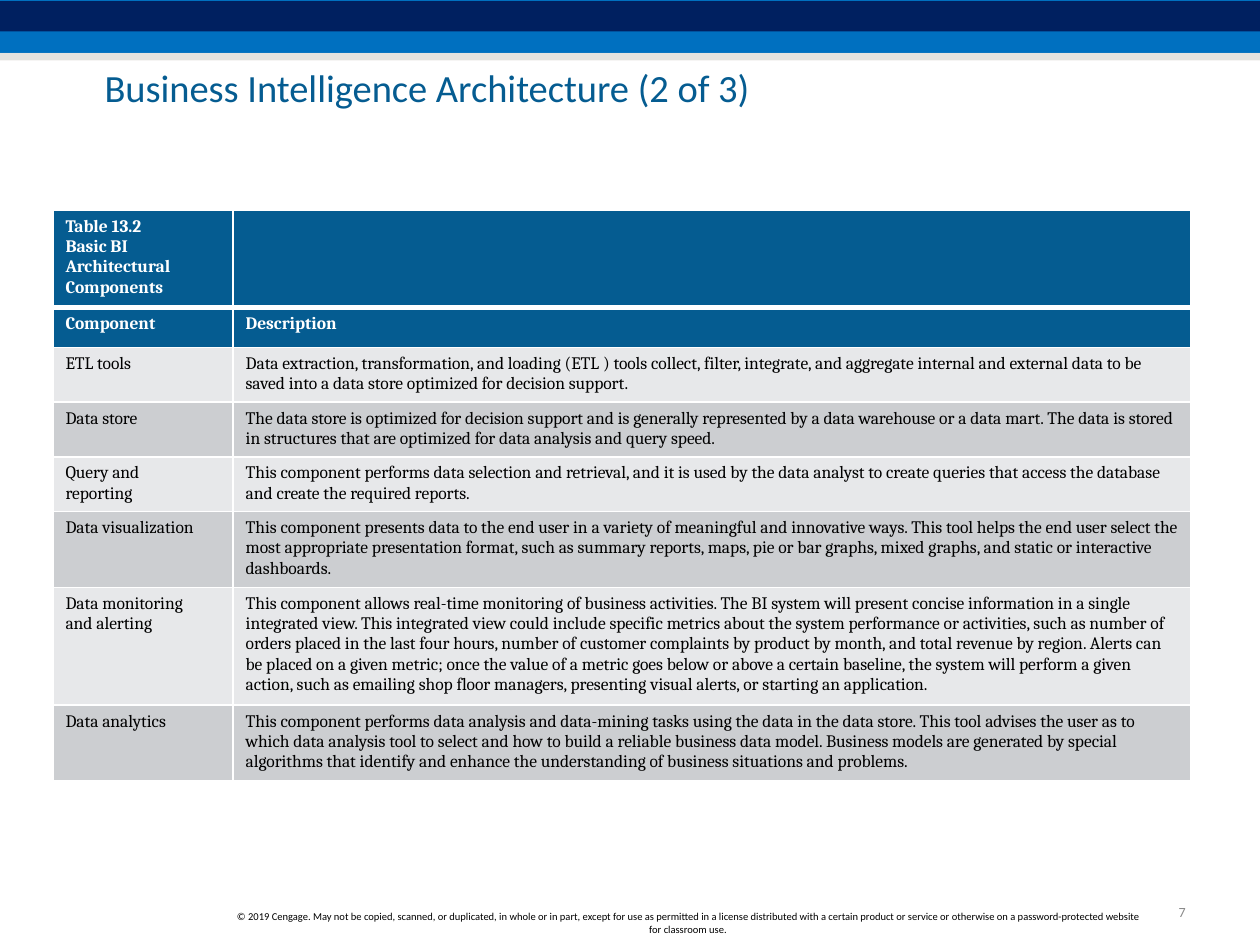
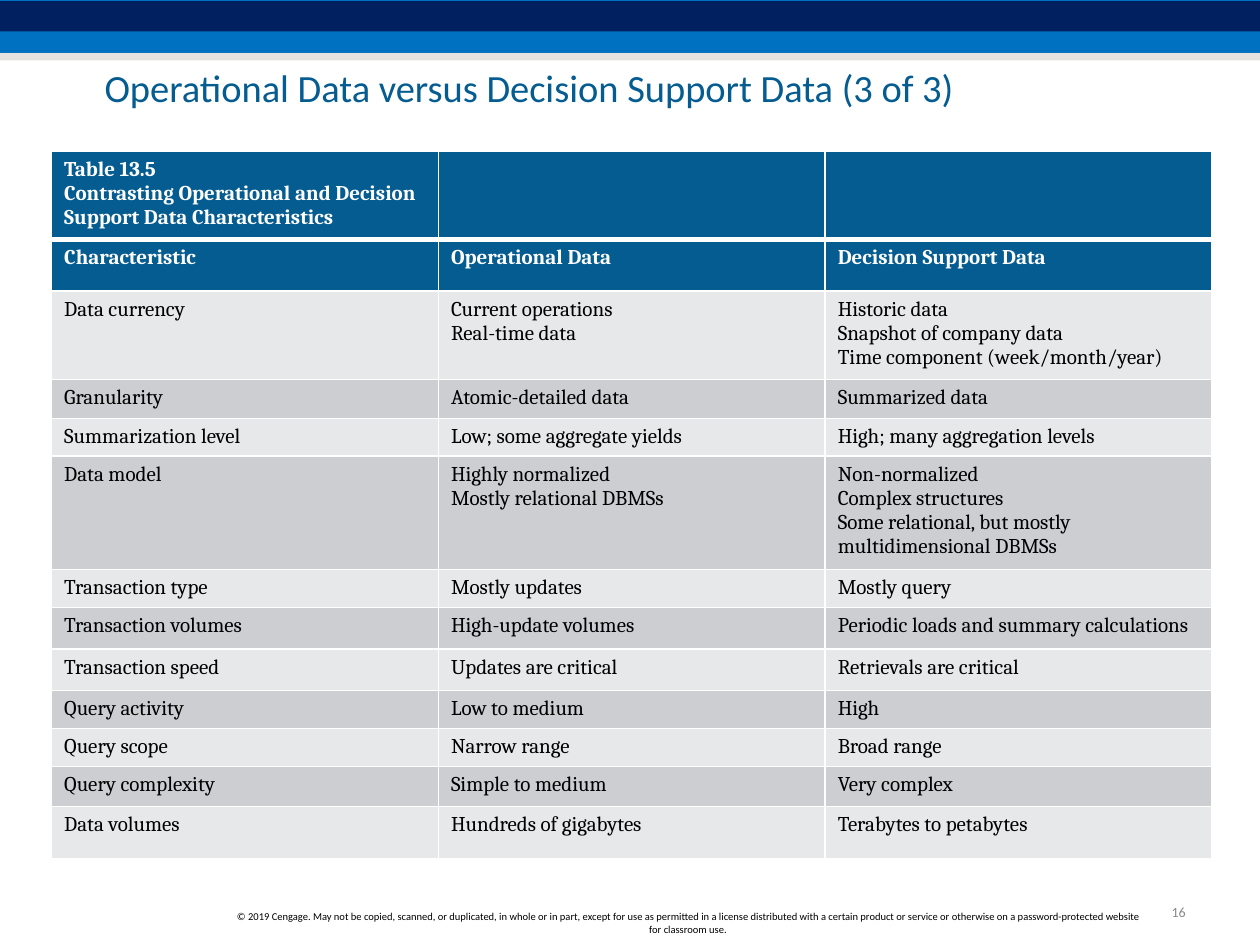
from lxml.etree import SubElement
from pptx import Presentation
from pptx.dml.color import RGBColor
from pptx.enum.shapes import MSO_SHAPE
from pptx.enum.text import MSO_ANCHOR, PP_ALIGN
from pptx.oxml.ns import qn
from pptx.util import Inches, Pt

HUES = {
    "blue": "0070C0", "navy": "002060", "sand": "CCC9C1", "head": "055C91",
    "light": "E7E8EA", "dark": "CCCED1", "white": "FFFFFF",
    "black": "000000", "grey": "898989",
}
FONTS = {
    "title": {"name": "Calibri", "size": Pt(22), "bold": False},
    "page": {"name": "Calibri", "size": Pt(8)},
    "foot": {"name": "Calibri", "size": Pt(6)},
}
RIGHTS = (
    "© 2019 Cengage. May not be copied, scanned, or duplicated, in whole or "
    "in part, except for use as permitted in a license distributed with a "
    "certain product or service or otherwise on a password-protected website "
    "for classroom use."
)

# Table texts: caption row, heading row, then body rows
PARTS = [
    ["Table 13.2\nBasic BI Architectural Components", ""],
    ["Component", "Description"],
    ["ETL tools",
     "Data extraction, transformation, and loading (ETL ) tools collect, "
     "filter, integrate, and aggregate internal and external data to be "
     "saved into a data store optimized for decision support."],
    ["Data store",
     "The data store is optimized for decision support and is generally "
     "represented by a data warehouse or a data mart. The data is stored in "
     "structures that are optimized for data analysis and query speed."],
    ["Query and\nreporting",
     "This component performs data selection and retrieval, and it is used "
     "by the data analyst to create queries that access the database and "
     "create the required reports."],
    ["Data visualization",
     "This component presents data to the end user in a variety of "
     "meaningful and innovative ways. This tool helps the end user select "
     "the most appropriate presentation format, such as summary reports, "
     "maps, pie or bar graphs, mixed graphs, and static or interactive "
     "dashboards."],
    ["Data monitoring\nand alerting",
     "This component allows real-time monitoring of business activities. "
     "The BI system will present concise information in a single integrated "
     "view. This integrated view could include specific metrics about the "
     "system performance or activities, such as number of orders placed in "
     "the last four hours, number of customer complaints by product by "
     "month, and total revenue by region. Alerts can be placed on a given "
     "metric; once the value of a metric goes below or above a certain "
     "baseline, the system will perform a given action, such as emailing "
     "shop floor managers, presenting visual alerts, or starting an "
     "application."],
    ["Data analytics",
     "This component performs data analysis and data-mining tasks using the "
     "data in the data store. This tool advises the user as to\n"
     "which data analysis tool to select and how to build a reliable "
     "business data model. Business models are generated by special\n"
     "algorithms that identify and enhance the understanding of business "
     "situations and problems."],
]
TRAITS = [
    ["Table 13.5\nContrasting Operational and Decision Support Data "
     "Characteristics", "", ""],
    ["Characteristic", "Operational Data", "Decision Support Data"],
    ["Data currency", "Current operations\nReal-time data",
     "Historic data\nSnapshot of company data\n"
     "Time component (week/month/year)"],
    ["Granularity", "Atomic-detailed data", "Summarized data"],
    ["Summarization level", "Low; some aggregate yields",
     "High; many aggregation levels"],
    ["Data model", "Highly normalized\nMostly relational DBMSs",
     "Non-normalized\nComplex structures\n"
     "Some relational, but mostly multidimensional DBMSs"],
    ["Transaction type", "Mostly updates", "Mostly query"],
    ["Transaction volumes", "High-update volumes",
     "Periodic loads and summary calculations"],
    ["Transaction speed", "Updates are critical", "Retrievals are critical"],
    ["Query activity", "Low to medium", "High"],
    ["Query scope", "Narrow range", "Broad range"],
    ["Query complexity", "Simple to medium", "Very complex"],
    ["Data volumes", "Hundreds of gigabytes", "Terabytes to petabytes"],
]


class Deck:
    def __init__(self):
        self.prs = Presentation()
        self.prs.slide_width, self.prs.slide_height = Inches(10), Inches(7.5)
        self.slide = None

    def assign(self, item, values):
        for key, value in values.items():
            setattr(item, key, value)

    def style(self, frame, values, hue):
        for para in frame.paragraphs:
            self.assign(para.font, values)
            para.font.color.rgb = RGBColor.from_string(HUES[hue])

    def page(self, title, number):
        self.slide = self.prs.slides.add_slide(self.prs.slide_layouts[5])
        self.band(0, 0.42, "blue")
        self.band(0.01, 0.24, "navy")
        self.band(0.42, 0.06, "sand", 50)
        self.title(title)
        self.text(str(number), (9.17, 7.12, 0.34, 0.24), "page", "grey",
                  PP_ALIGN.RIGHT, False)
        self.text(RIGHTS, (1.75, 7.19, 7.42, 0.27), "foot", "black",
                  PP_ALIGN.CENTER)

    def band(self, top, height, hue, alpha=None):
        band = self.slide.shapes.add_shape(
            MSO_SHAPE.RECTANGLE, 0, Inches(top), Inches(10), Inches(height))
        band.shadow.inherit = False
        band.line.fill.background()
        band.fill.solid()
        band.fill.fore_color.rgb = RGBColor.from_string(HUES[hue])
        if alpha:
            color = band.fill._xPr.find(".//" + qn("a:srgbClr"))
            SubElement(color, qn("a:alpha"), val=str(alpha * 1000))

    def title(self, words):
        shape = self.slide.shapes.title
        self.assign(shape, {
            "left": Inches(0.83), "top": Inches(0.56),
            "width": Inches(8.78), "height": Inches(0.32)})
        frame = shape.text_frame
        frame.text = words
        self.assign(frame, {
            "margin_left": 0, "margin_right": 0, "margin_top": 0,
            "margin_bottom": 0, "vertical_anchor": MSO_ANCHOR.MIDDLE})
        self.assign(frame.paragraphs[0], {
            "alignment": PP_ALIGN.LEFT, "line_spacing": 0.85})
        self.style(frame, FONTS["title"], "head")

    def text(self, words, place, font, hue, align, wrap=True):
        box = self.slide.shapes.add_textbox(*map(Inches, place))
        frame = box.text_frame
        frame.text = words
        self.assign(frame, {
            "word_wrap": wrap, "vertical_anchor": MSO_ANCHOR.MIDDLE})
        frame.paragraphs[0].alignment = align
        self.style(frame, FONTS[font], hue)

    def edge(self, cell, row):
        # The rule below the caption row is thicker
        wide = {"lnT": row == 1, "lnB": row == 0}
        props = cell._tc.get_or_add_tcPr()
        for side in ("lnL", "lnR", "lnT", "lnB"):
            width = Pt(3 if wide.get(side) else 1)
            line = SubElement(props, qn("a:" + side), w=str(width))
            fill = SubElement(line, qn("a:solidFill"))
            SubElement(fill, qn("a:srgbClr"), val=HUES["white"])

    def table(self, data, spot, cols, rows, size):
        table = self.slide.shapes.add_table(
            len(rows), len(cols), *map(Inches, spot),
            Inches(sum(cols)), Inches(sum(rows))).table
        for col, width in zip(table.columns, cols):
            col.width = Inches(width)
        for i, (row, height) in enumerate(zip(table.rows, rows)):
            row.height = Inches(height)
            head = i < 2
            hue = "head" if head else ("light", "dark")[i % 2]
            font = {"name": "Cambria", "size": Pt(size), "bold": head}
            for cell, words in zip(row.cells, data[i]):
                self.edge(cell, i)
                cell.fill.solid()
                cell.fill.fore_color.rgb = RGBColor.from_string(HUES[hue])
                if words:
                    cell.text = words
                    self.style(cell.text_frame, font,
                               "white" if head else "black")


def main():
    deck = Deck()

    # Architecture components
    deck.page("Business Intelligence Architecture (2 of 3)", 7)
    deck.table(PARTS, (0.42, 1.67), [1.43, 7.6],
               [0.6, 0.32, 0.43, 0.43, 0.43, 0.6, 0.93, 0.6], 10)

    # Operational and decision support data
    deck.page("Operational Data versus Decision Support Data (3 of 3)", 16)
    deck.table(TRAITS, (0.41, 1.2), [3.07] * 3,
               [0.7, 0.41, 0.7, 0.31, 0.3, 0.9, 0.3, 0.33, 0.33, 0.3, 0.3,
                0.32, 0.41], 12)

    deck.prs.save("out.pptx")


if __name__ == "__main__":
    main()
